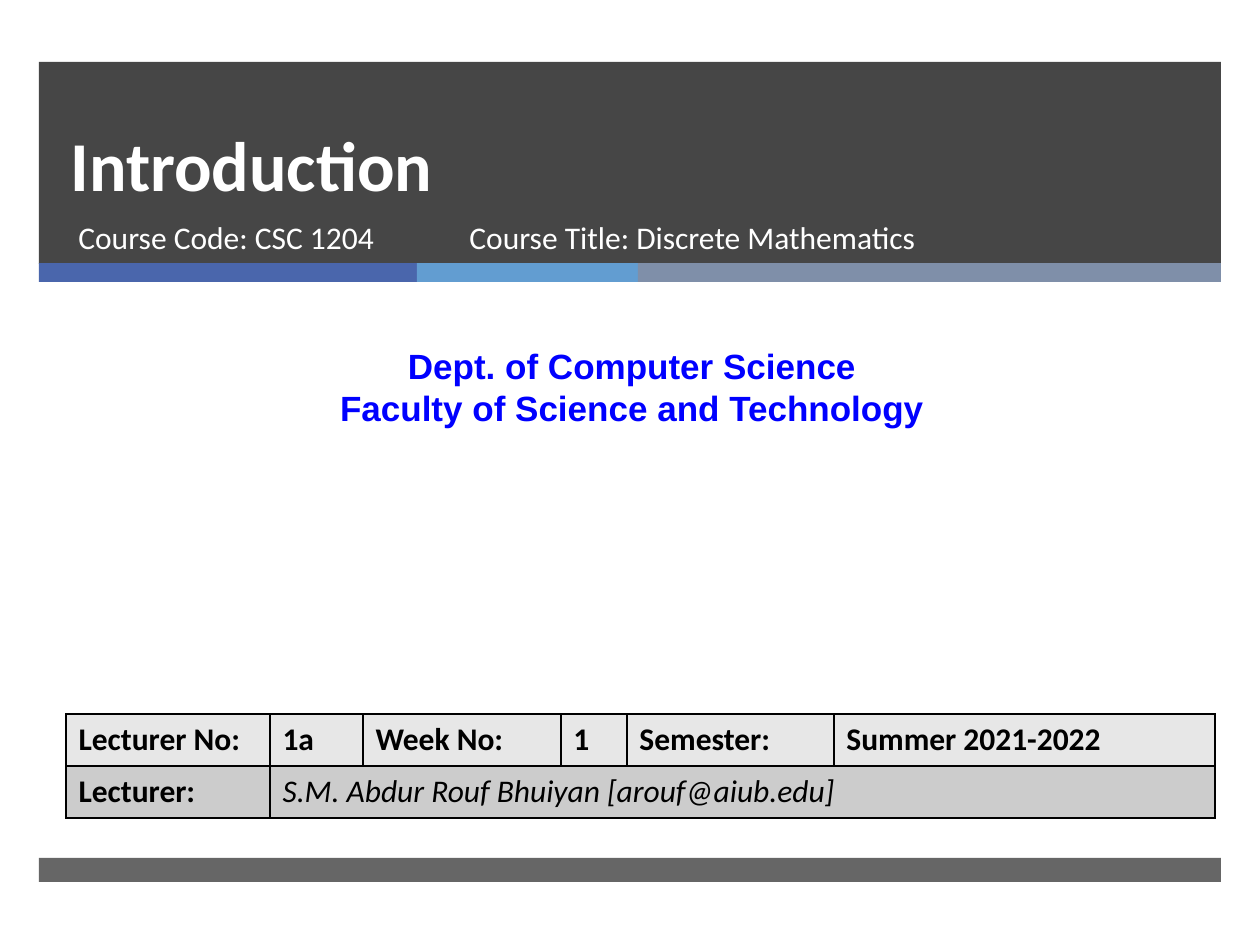
import pptx
import pptx.dml.color
import pptx.enum.shapes
import pptx.enum.text
import pptx.oxml
import pptx.oxml.ns
import pptx.util
from lxml import etree

PX = 914400 / 126
ALIGN = pptx.enum.text.PP_ALIGN
ANCHOR = pptx.enum.text.MSO_ANCHOR


def px(*values):
    return [pptx.util.Emu(round(v * PX)) for v in values]


def rgb(value):
    return pptx.dml.color.RGBColor.from_string(value)


def write(tf, text, size=18, font="Calibri", color="FFFFFF", bold=False,
          italic=False, align=ALIGN.LEFT, anchor=ANCHOR.TOP, spacing=None):
    tf.word_wrap = True
    tf.vertical_anchor = anchor
    for i, line in enumerate(text.split("\n")):
        p = tf.add_paragraph() if i else tf.paragraphs[0]
        p.alignment = align
        p.line_spacing = spacing
        r = p.add_run()
        r.text = line
        r.font.size = pptx.util.Pt(size)
        r.font.name = font
        r.font.bold = bold
        r.font.italic = italic
        r.font.color.rgb = rgb(color)


prs = pptx.Presentation()
prs.slide_width, prs.slide_height = px(1260, 945)
s = prs.slides.add_slide(prs.slide_layouts[5])

# Header band, three-colour stripe and footer band: x, y, w, h, fill, opacity %
bands = [
    (39, 62, 1182, 202, "262626", 85),
    (39, 263, 378, 19, "4A66AC", 100),
    (417, 263, 221, 19, "629DD1", 100),
    (638, 263, 583, 19, "7F8FA9", 100),
    (39, 858, 1182, 24, "262626", 70),
]
for x, y, w, h, color, opacity in bands:
    sp = s.shapes.add_shape(pptx.enum.shapes.MSO_SHAPE.RECTANGLE, *px(x, y, w, h))
    sp.shadow.inherit = False
    sp.line.fill.background()
    sp.fill.solid()
    sp.fill.fore_color.rgb = rgb(color)
    if opacity < 100:
        clr = sp.element.spPr.find(".//" + pptx.oxml.ns.qn("a:srgbClr"))
        etree.SubElement(clr, pptx.oxml.ns.qn("a:alpha"), val=str(opacity * 1000))

# Title, brought in front of the header band
title = s.shapes.title
title.left, title.top, title.width, title.height = px(58, 62, 1076, 150)
write(title.text_frame, "Introduction", size=40, bold=True,
      anchor=ANCHOR.BOTTOM, spacing=pptx.util.Pt(46))
title.element.getparent().append(title.element)

# Course and department lines
department = "Dept. of Computer Science\nFaculty of Science and Technology"
texts = [
    ((66, 212, 384, 67), "Course Code: CSC 1204", {}),
    ((457, 212, 573, 67), "Course Title: Discrete Mathematics", {}),
    ((10, 338, 1244, 97), department,
     dict(size=20, font="Arial", color="0000FF", bold=True, align=ALIGN.CENTER)),
]
for box, text, style in texts:
    write(s.shapes.add_textbox(*px(*box)).text_frame, text, **style)

# Lecture table
rows = [
    ["Lecturer No:", "1a", "Week No:", "1", "Semester:", "Summer 2021-2022"],
    ["Lecturer:", "S.M. Abdur Rouf Bhuiyan [arouf@aiub.edu]"],
]
widths = [204, 93, 198, 66, 207, 381]
table = s.shapes.add_table(len(rows), len(widths), *px(66, 714, sum(widths), 104)).table
for column, width in zip(table.columns, px(*widths)):
    column.width = width
table.cell(1, 1).merge(table.cell(1, 5))

for i, (row, fill) in enumerate(zip(rows, ["E7E7E7", "CCCCCC"])):
    for j in range(len(widths)):
        cell = table.cell(i, j)
        if j < len(row):
            lecturer = (i, j) == (1, 1)
            write(cell.text_frame, row[j], color="000000",
                  bold=not lecturer, italic=lecturer)
        # Borders come before the fill in the cell properties
        tcPr = cell._tc.get_or_add_tcPr()
        for side in ("lnL", "lnR", "lnT", "lnB"):
            tcPr.append(pptx.oxml.parse_xml(
                f'<a:{side} {pptx.oxml.ns.nsdecls("a")} w="12700"><a:solidFill>'
                f'<a:srgbClr val="000000"/></a:solidFill></a:{side}>'))
        cell.fill.solid()
        cell.fill.fore_color.rgb = rgb(fill)

prs.save("out.pptx")
